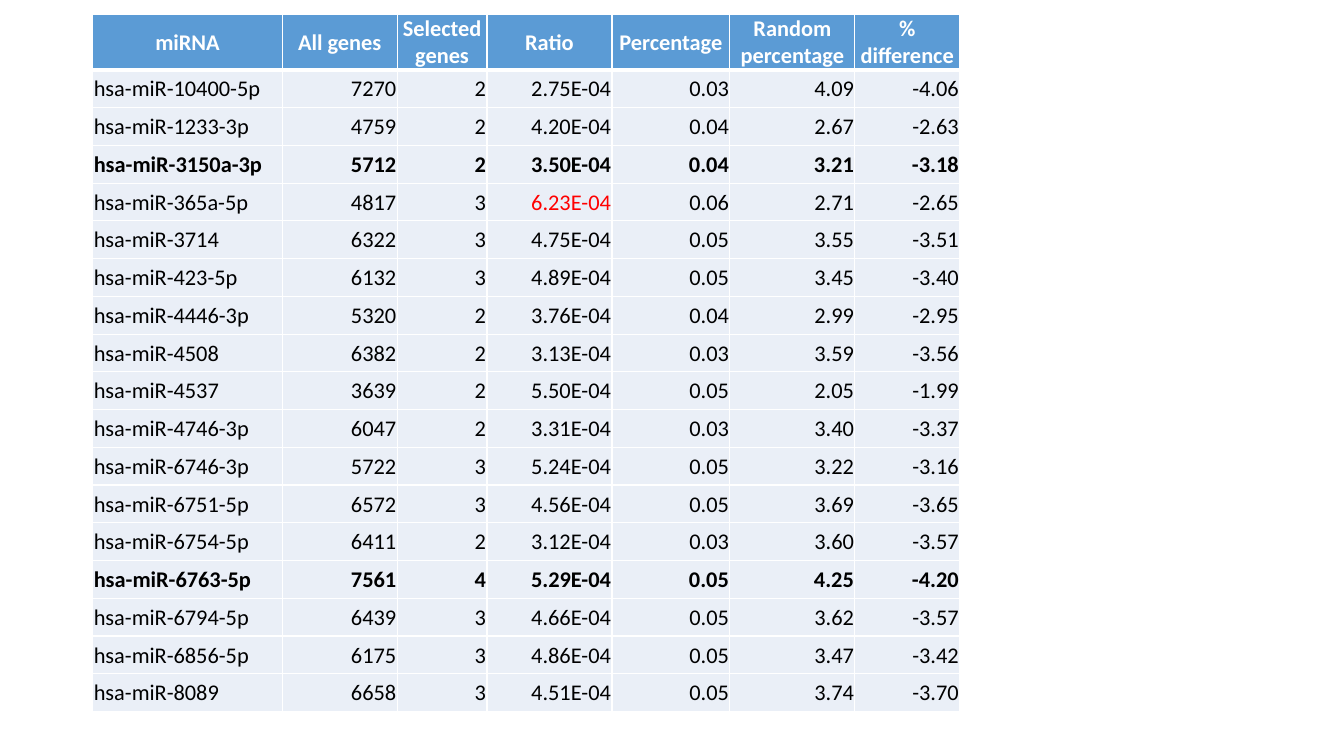
from dataclasses import dataclass

from lxml.etree import SubElement
from pptx import Presentation
from pptx.dml.color import RGBColor as RGB
from pptx.enum.text import MSO_ANCHOR as Anchor, PP_ALIGN as Align
from pptx.oxml.ns import qn
from pptx.table import _Cell as Cell
from pptx.util import Inches, Pt

COLORS = {"header": "5B9BD5", "body": "EAEFF7", "white": "FFFFFF",
          "text": "000000", "accent": "FF0000"}
FONT, FONT_SIZE = "Calibri", 16
LEFT, TOP, HEIGHT, HEADER_HEIGHT = 0.92, 0.14, 6.91, 0.54
MARGIN = 0.01


@dataclass(frozen=True)
class Column:
    title: str
    width: float
    align: Align = Align.RIGHT


@dataclass(frozen=True)
class MiRna:
    name: str
    all_genes: str
    selected: str
    ratio: str
    percentage: str
    random: str
    difference: str
    bold: bool = False
    ratio_color: str = "text"

    def values(self) -> list[str]:
        return [self.name, self.all_genes, self.selected, self.ratio,
                self.percentage, self.random, self.difference]


COLUMNS = [
    Column("miRNA", 1.88, Align.LEFT),
    Column("All genes", 1.14),
    Column("Selected genes", 0.89),
    Column("Ratio", 1.24),
    Column("Percentage", 1.17),
    Column("Random percentage", 1.24),
    Column("% difference", 1.04),
]
RATIO = 3  # index of the Ratio column

MIRNAS = [
    MiRna("hsa-miR-10400-5p", "7270", "2", "2.75E-04", "0.03", "4.09", "-4.06"),
    MiRna("hsa-miR-1233-3p", "4759", "2", "4.20E-04", "0.04", "2.67", "-2.63"),
    MiRna("hsa-miR-3150a-3p", "5712", "2", "3.50E-04", "0.04", "3.21", "-3.18", bold=True),
    MiRna("hsa-miR-365a-5p", "4817", "3", "6.23E-04", "0.06", "2.71", "-2.65",
          ratio_color="accent"),
    MiRna("hsa-miR-3714", "6322", "3", "4.75E-04", "0.05", "3.55", "-3.51"),
    MiRna("hsa-miR-423-5p", "6132", "3", "4.89E-04", "0.05", "3.45", "-3.40"),
    MiRna("hsa-miR-4446-3p", "5320", "2", "3.76E-04", "0.04", "2.99", "-2.95"),
    MiRna("hsa-miR-4508", "6382", "2", "3.13E-04", "0.03", "3.59", "-3.56"),
    MiRna("hsa-miR-4537", "3639", "2", "5.50E-04", "0.05", "2.05", "-1.99"),
    MiRna("hsa-miR-4746-3p", "6047", "2", "3.31E-04", "0.03", "3.40", "-3.37"),
    MiRna("hsa-miR-6746-3p", "5722", "3", "5.24E-04", "0.05", "3.22", "-3.16"),
    MiRna("hsa-miR-6751-5p", "6572", "3", "4.56E-04", "0.05", "3.69", "-3.65"),
    MiRna("hsa-miR-6754-5p", "6411", "2", "3.12E-04", "0.03", "3.60", "-3.57"),
    MiRna("hsa-miR-6763-5p", "7561", "4", "5.29E-04", "0.05", "4.25", "-4.20", bold=True),
    MiRna("hsa-miR-6794-5p", "6439", "3", "4.66E-04", "0.05", "3.62", "-3.57"),
    MiRna("hsa-miR-6856-5p", "6175", "3", "4.86E-04", "0.05", "3.47", "-3.42"),
    MiRna("hsa-miR-8089", "6658", "3", "4.51E-04", "0.05", "3.74", "-3.70"),
]


def set_borders(cell: Cell, top: float = 1, bottom: float = 1) -> None:
    """Draw white borders; they must precede the fill in the cell XML."""
    tc_pr = cell._tc.get_or_add_tcPr()
    for side, width in (("L", 1), ("R", 1), ("T", top), ("B", bottom)):
        ln = SubElement(tc_pr, qn(f"a:ln{side}"), w=str(Pt(width)))
        fill = SubElement(ln, qn("a:solidFill"))
        SubElement(fill, qn("a:srgbClr"), val=COLORS["white"])


def write_cell(cell: Cell, text: str, fill: str, color: str,
               align: Align, bold: bool) -> None:
    cell.fill.solid()
    cell.fill.fore_color.rgb = RGB.from_string(COLORS[fill])
    cell.margin_left = cell.margin_right = cell.margin_top = Inches(MARGIN)
    cell.margin_bottom = 0
    cell.vertical_anchor = Anchor.MIDDLE
    p = cell.text_frame.paragraphs[0]
    p.alignment = align
    r = p.add_run()
    r.text = text
    r.font.name, r.font.size, r.font.bold = FONT, Pt(FONT_SIZE), bold
    r.font.color.rgb = RGB.from_string(COLORS[color])


def main() -> None:
    prs = Presentation()
    prs.slide_width, prs.slide_height = Inches(13.33), Inches(7.5)
    s = prs.slides.add_slide(prs.slide_layouts[6])

    # Table grid
    table = s.shapes.add_table(
        len(MIRNAS) + 1, len(COLUMNS), Inches(LEFT), Inches(TOP),
        Inches(sum(c.width for c in COLUMNS)), Inches(HEIGHT)).table
    table.horz_banding = False
    for grid_col, column in zip(table.columns, COLUMNS):
        grid_col.width = Inches(column.width)
    for row in table.rows:
        row.height = Inches((HEIGHT - HEADER_HEIGHT) / len(MIRNAS))
    table.rows[0].height = Inches(HEADER_HEIGHT)

    # Header row
    for j, column in enumerate(COLUMNS):
        cell = table.cell(0, j)
        set_borders(cell, bottom=3)
        write_cell(cell, column.title, "header", "white", Align.CENTER, True)

    # One row per miRNA
    for i, mirna in enumerate(MIRNAS, start=1):
        for j, (column, value) in enumerate(zip(COLUMNS, mirna.values())):
            cell = table.cell(i, j)
            set_borders(cell, top=3 if i == 1 else 1)
            color = mirna.ratio_color if j == RATIO else "text"
            write_cell(cell, value, "body", color, column.align, mirna.bold)

    prs.save("out.pptx")


if __name__ == "__main__":
    main()
